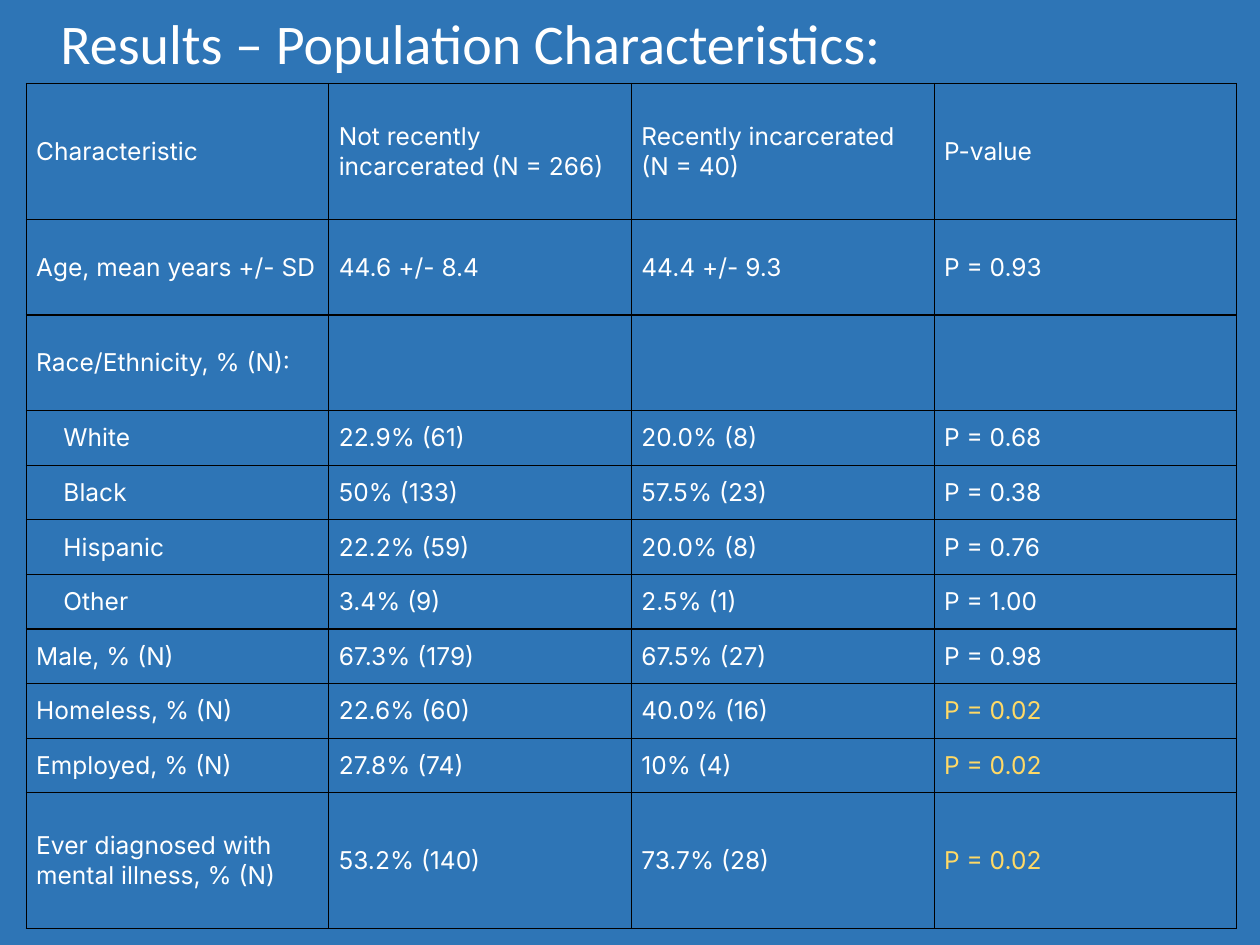
from lxml import etree
from pptx import Presentation
from pptx.dml.color import RGBColor
from pptx.enum.text import MSO_ANCHOR
from pptx.oxml.ns import qn
from pptx.util import Cm, Pt

BLUE, WHITE, YELLOW, BLACK = "2E75B6", "FFFFFF", "FFD966", "000000"
TITLE = "Results – Population Characteristics:"
TALL, MEDIUM, SHORT = 2.74, 1.93, 1.1
COLUMN_WIDTH = 6.1
MARGIN, INDENT = 0.2, 0.55

ROWS = [
    (TALL, "Characteristic", "Not recently incarcerated (N = 266)",
     "Recently incarcerated (N = 40)", "P-value"),
    (MEDIUM, "Age, mean years +/- SD", "44.6 +/- 8.4", "44.4 +/- 9.3", "P = 0.93"),
    (MEDIUM, "Race/Ethnicity, % (N):", "", "", ""),
    (SHORT, "White", "22.9% (61)", "20.0% (8)", "P = 0.68"),
    (SHORT, "Black", "50% (133)", "57.5% (23)", "P = 0.38"),
    (SHORT, "Hispanic", "22.2% (59)", "20.0% (8)", "P = 0.76"),
    (SHORT, "Other", "3.4% (9)", "2.5% (1)", "P = 1.00"),
    (SHORT, "Male, % (N)", "67.3% (179)", "67.5% (27)", "P = 0.98"),
    (SHORT, "Homeless, % (N)", "22.6% (60)", "40.0% (16)", "P = 0.02"),
    (SHORT, "Employed, % (N)", "27.8% (74)", "10% (4)", "P = 0.02"),
    (TALL, "Ever diagnosed with mental illness, % (N)", "53.2% (140)",
     "73.7% (28)", "P = 0.02"),
]
SUBGROUPS = {"White", "Black", "Hispanic", "Other"}
SIGNIFICANT = "P = 0.02"


def rgb(value):
    return RGBColor.from_string(value)


def write(frame, text, font, size, color):
    paragraph = frame.paragraphs[0]
    paragraph.font.size = Pt(size)
    if text:
        run = paragraph.add_run()
        run.text = text
        run.font.name = font
        run.font.size = Pt(size)
        run.font.color.rgb = rgb(color)


def add_borders(cell):
    properties = cell._tc.get_or_add_tcPr()
    for side in ("lnL", "lnR", "lnT", "lnB"):
        line = etree.SubElement(properties, qn(f"a:{side}"), w=str(Pt(0.75)))
        fill = etree.SubElement(line, qn("a:solidFill"))
        etree.SubElement(fill, qn("a:srgbClr"), val=BLACK)


prs = Presentation()
prs.slide_width, prs.slide_height = Cm(25.4), Cm(19.05)
slide = prs.slides.add_slide(prs.slide_layouts[6])
slide.background.fill.solid()
slide.background.fill.fore_color.rgb = rgb(BLUE)

title = slide.shapes.add_textbox(Cm(0.97), Cm(0.05), Cm(24.43), Cm(1.63))
title.text_frame.word_wrap = True
write(title.text_frame, TITLE, "Calibri", 32, WHITE)

columns = len(ROWS[0]) - 1
table = slide.shapes.add_table(
    len(ROWS), columns, Cm(0.53), Cm(1.68),
    Cm(COLUMN_WIDTH * columns), Cm(sum(row[0] for row in ROWS))).table
table.first_row = table.horz_banding = False
for column in table.columns:
    column.width = Cm(COLUMN_WIDTH)

for r, (height, *texts) in enumerate(ROWS):
    table.rows[r].height = Cm(height)
    for c, text in enumerate(texts):
        cell = table.cell(r, c)
        cell.vertical_anchor = MSO_ANCHOR.MIDDLE
        cell.margin_left = Cm(MARGIN + INDENT * (text in SUBGROUPS))
        cell.margin_right = Cm(MARGIN)
        cell.margin_top = cell.margin_bottom = Cm(0.1)
        add_borders(cell)
        cell.fill.background()
        write(cell.text_frame, text, "Inter", 14,
              YELLOW if text == SIGNIFICANT else WHITE)

prs.save("out.pptx")
